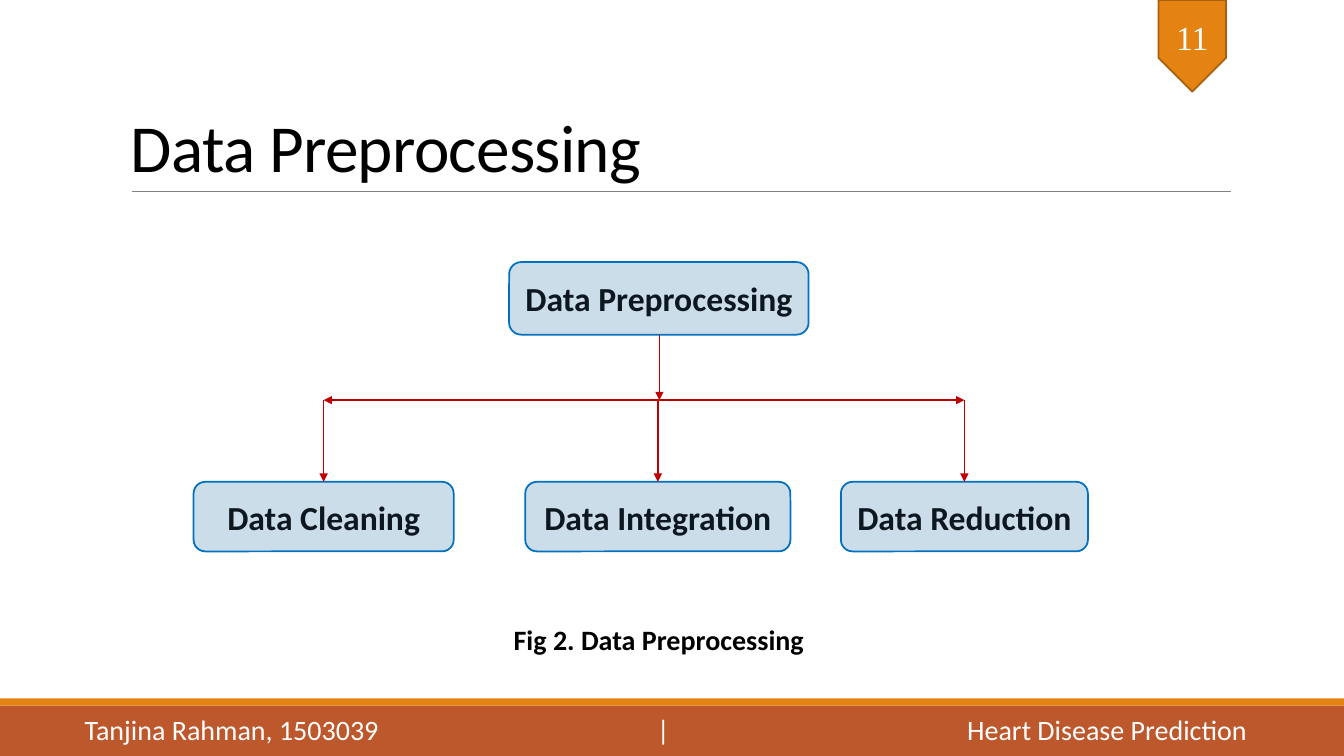
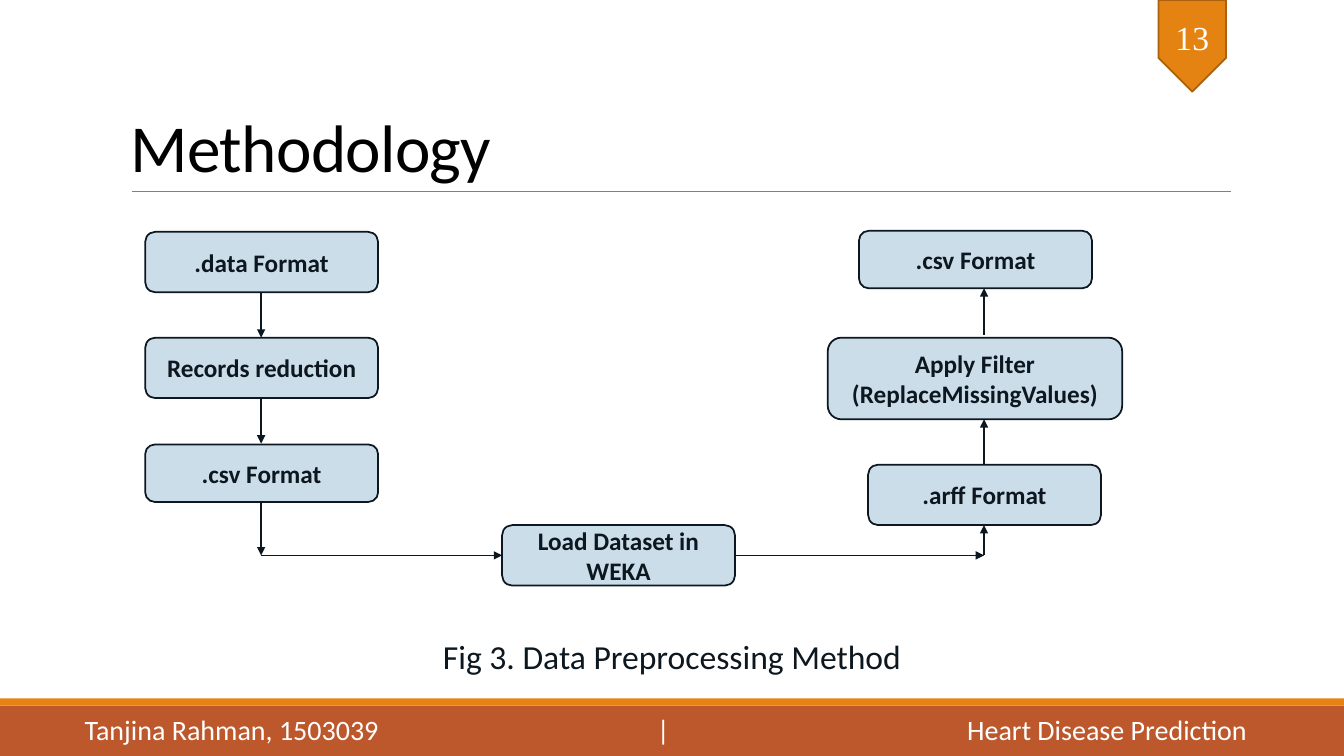
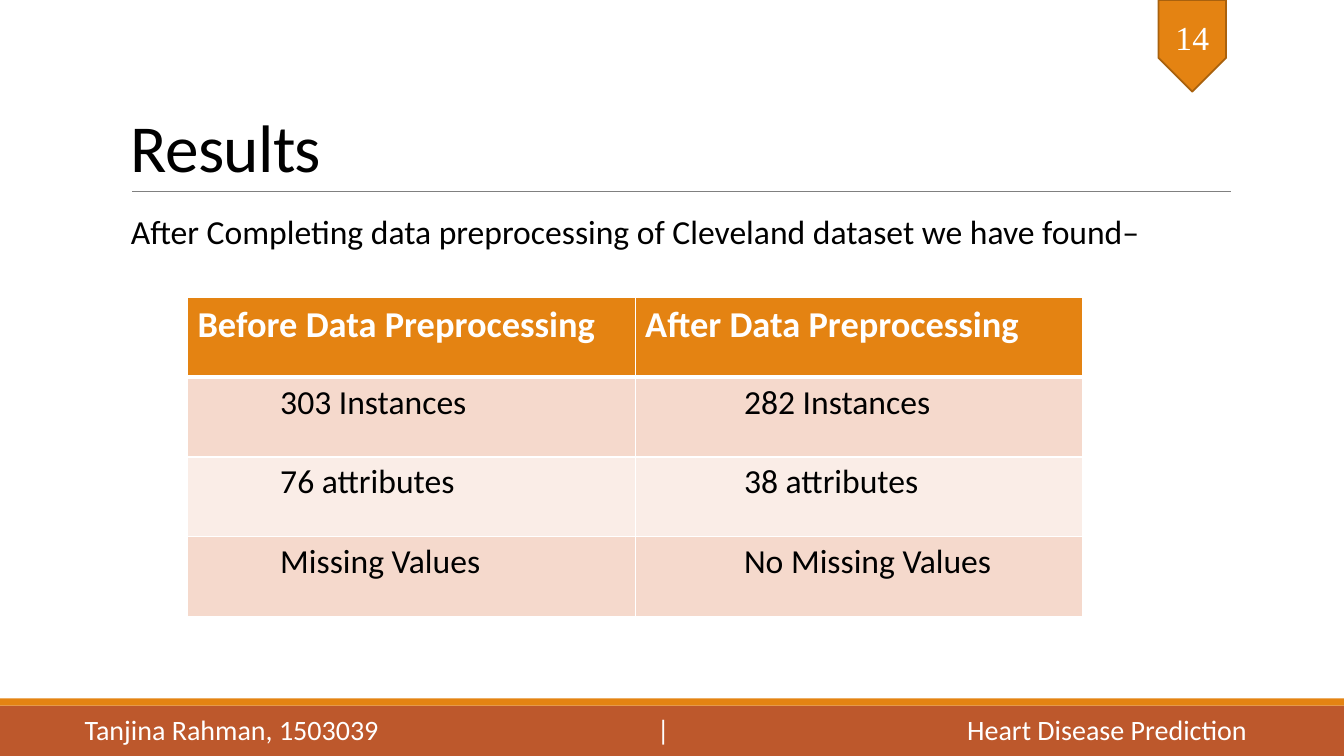
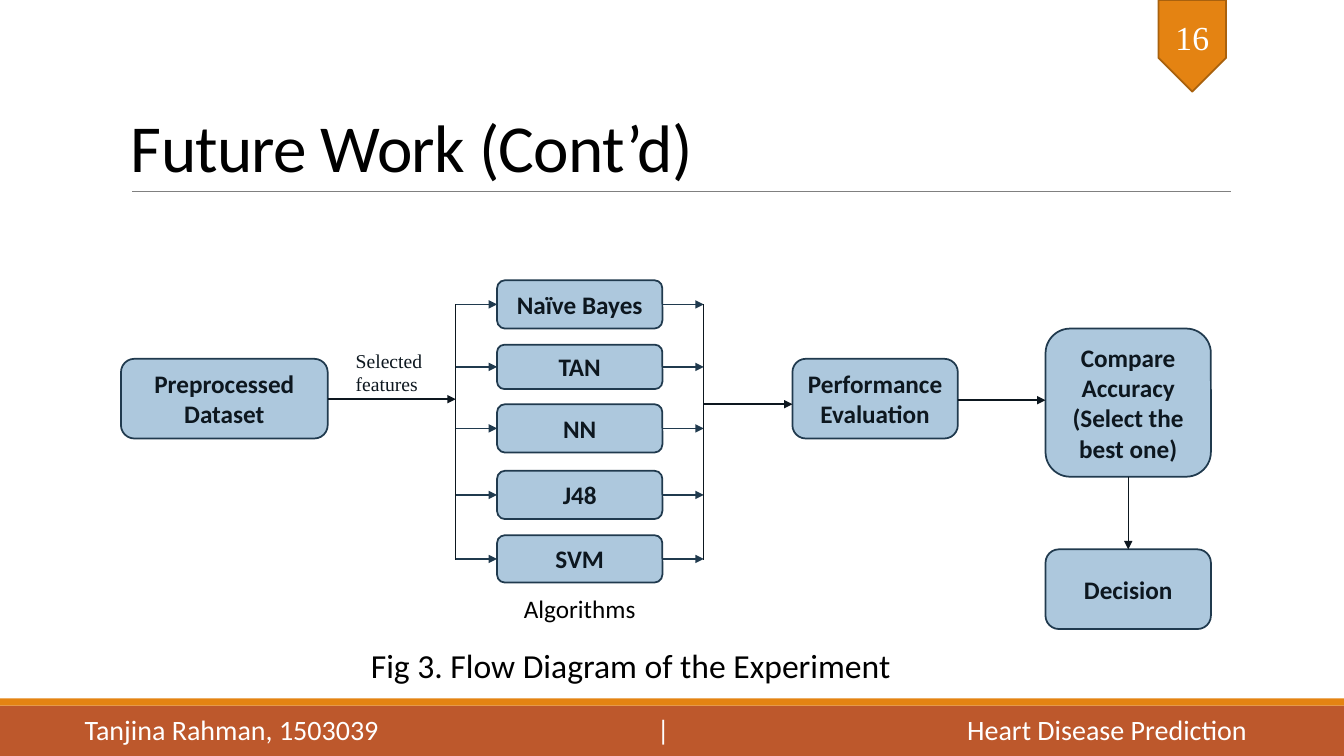
from lxml.etree import SubElement
from pptx import Presentation
from pptx.dml.color import RGBColor
from pptx.enum.shapes import MSO_CONNECTOR, MSO_SHAPE
from pptx.enum.text import MSO_ANCHOR, PP_ALIGN
from pptx.oxml.ns import qn
from pptx.util import Inches, Pt

COLORS = {
    "orange": "E48312", "badge_line": "A9610D", "rust": "BD582C",
    "rule": "808080", "white": "FFFFFF", "black": "000000",
    "ink": "0D171F", "pale_blue": "CCDDEA", "blue": "0070C0",
    "mid_blue": "ADC8DD", "navy": "203A4E", "red": "C00000",
    "band_dark": "F5D9CC", "band_light": "FAEDE7",
}
SANS, SERIF = "Calibri", "Times New Roman"
WIDTH, HEIGHT = 13.33, 7.5


def rgb(name):
    return RGBColor.from_string(COLORS[name])


def write(tf, text, size, color, bold=False, font=SANS, align=PP_ALIGN.LEFT,
          anchor=MSO_ANCHOR.TOP):
    tf.text = text
    tf.word_wrap = True
    tf.vertical_anchor = anchor
    for p in tf.paragraphs:
        p.alignment = align
        for r in p.runs:
            r.font.size, r.font.bold, r.font.name = Pt(size), bold, font
            r.font.color.rgb = rgb(color)


def add_text(slide, box, text, size, color="black", **style):
    sp = slide.shapes.add_textbox(*map(Inches, box))
    write(sp.text_frame, text, size, color, **style)
    return sp.text_frame


def add_box(slide, kind, box, fill, line=None):
    sp = slide.shapes.add_shape(kind, *map(Inches, box))
    sp.shadow.inherit = False
    sp.fill.solid()
    sp.fill.fore_color.rgb = rgb(fill)
    if line:
        sp.line.color.rgb = rgb(line)
        sp.line.width = Pt(1.25)
    else:
        sp.line.fill.background()
    return sp


def add_line(slide, x1, y1, x2, y2, color, width=1, arrow=True):
    c = slide.shapes.add_connector(MSO_CONNECTOR.STRAIGHT,
                                   *map(Inches, (x1, y1, x2, y2)))
    c.line.color.rgb = rgb(color)
    c.line.width = Pt(width)
    if arrow:
        SubElement(c.line._get_or_add_ln(), qn("a:tailEnd"), type="triangle")
    SubElement(c._element.spPr, qn("a:effectLst"))


class Diagram:
    """Draws nodes, lines and labels relative to a top left corner."""

    def __init__(self, slide, left, top, fill, outline, size):
        self.slide, self.left, self.top = slide, left, top
        self.fill, self.outline, self.size = fill, outline, size

    def node(self, text, x, y, w, h):
        sp = add_box(self.slide, MSO_SHAPE.ROUNDED_RECTANGLE,
                     (self.left + x, self.top + y, w, h),
                     self.fill, self.outline)
        write(sp.text_frame, text, self.size, "ink", bold=True,
              align=PP_ALIGN.CENTER, anchor=MSO_ANCHOR.MIDDLE)

    def line(self, x1, y1, x2, y2, color="ink", arrow=True):
        add_line(self.slide, self.left + x1, self.top + y1,
                 self.left + x2, self.top + y2, color, arrow=arrow)

    def label(self, text, x, y, w, h, size, **style):
        add_text(self.slide, (self.left + x, self.top + y, w, h),
                 text, size, **style)


def add_footer(slide, top):
    add_box(slide, MSO_SHAPE.RECTANGLE, (0, top, WIDTH, HEIGHT - top), "rust")
    add_box(slide, MSO_SHAPE.RECTANGLE, (0, top - 0.07, WIDTH, 0.07), "orange")
    tf = add_text(slide, (0.74, top + 0.02, 12, 0.44),
                  "Tanjina Rahman, 1503039\t|\tHeart Disease Prediction",
                  20, "white")
    tabs = SubElement(tf.paragraphs[0]._p.get_or_add_pPr(), qn("a:tabLst"))
    for pos, align in ((5.74, "ctr"), (11.53, "r")):
        SubElement(tabs, qn("a:tab"), pos=str(Inches(pos)), algn=align)


def add_badge(slide, number, left, top):
    """Page number on a pentagon turned to point down."""
    sp = add_box(slide, MSO_SHAPE.PENTAGON, (left, top, 0.91, 0.67),
                 "orange", "badge_line")
    sp.rotation = 90
    write(sp.text_frame, str(number), 24, "white", font=SERIF,
          align=PP_ALIGN.CENTER, anchor=MSO_ANCHOR.MIDDLE)
    sp.text_frame._txBody.bodyPr.set("vert", "vert270")


def new_slide(prs, title, number):
    slide = prs.slides.add_slide(prs.slide_layouts[6])
    add_footer(slide, 7)
    add_line(slide, 1.31, 1.9, 12.21, 1.9, "rule", 0.5, arrow=False)
    tf = add_text(slide, (1.2, 0.31, 11, 1.59), title, 48,
                  anchor=MSO_ANCHOR.BOTTOM)
    p = tf.paragraphs[0]
    p.line_spacing = 0.85
    p.runs[0].font._element.set("spc", "-50")
    add_badge(slide, number, 11.37, 0.12)
    return slide


def preprocessing_tree(slide, left, top):
    d = Diagram(slide, left, top, "pale_blue", "blue", 24)
    root_x, bus_y, child_y = 4.62, 1.37, 2.18
    d.node("Data Preprocessing", root_x - 1.49, 0, 2.97, 0.72)
    d.line(root_x, 0.72, root_x, bus_y, "red")
    for text, x, w in (("Data Cleaning", 0, 2.58),
                       ("Data Integration", 3.29, 2.63),
                       ("Data Reduction", 6.42, 2.45)):
        d.node(text, x, child_y, w, 0.69)
        center = x + w / 2
        if abs(center - root_x) > 0.1:
            d.line(root_x, bus_y, center, bus_y, "red")
        d.line(center, bus_y, center, child_y, "red")
    d.label("Fig 2. Data Preprocessing", 1.38, 3.5, 6.47, 0.48, 20, bold=True,
            align=PP_ALIGN.CENTER, anchor=MSO_ANCHOR.MIDDLE)


def format_flow(slide, left, top):
    d = Diagram(slide, left, top, "pale_blue", "ink", 18)
    w, down_x, up_x, turn_y = 2.31, 1.15, 8.32, 3.22
    for text, x, y, width, h in (
            (".data Format", 0, 0.01, w, 0.6),
            ("Records reduction", 0, 1.06, w, 0.6),
            (".csv Format", 0, 2.12, w, 0.57),
            ("Load Dataset in WEKA", 3.54, 2.92, w, 0.6),
            (".arff Format", 7.17, 2.32, w, 0.6),
            ("Apply Filter (ReplaceMissingValues)", 6.77, 1.06, 2.92, 0.81),
            (".csv Format", 7.08, 0, w, 0.57)):
        d.node(text, x, y, width, h)
    for y1, y2 in ((0.61, 1.06), (1.66, 2.11), (2.69, turn_y)):
        d.line(down_x, y1, down_x, y2)
    d.line(down_x, turn_y, 3.54, turn_y)
    d.line(3.54 + w, turn_y, up_x, turn_y)
    for y1, y2 in ((turn_y, 2.92), (2.32, 1.87), (1.03, 0.57)):
        d.line(up_x, y1, up_x, y2)
    d.label("Fig 3. Data Preprocessing Method", 2.05, 3.94, 6.35, 0.55, 24,
            color="ink", align=PP_ALIGN.CENTER, anchor=MSO_ANCHOR.MIDDLE)


def set_borders(cell, bottom):
    tc_pr = cell._tc.get_or_add_tcPr()
    for side, width in (("L", 1), ("R", 1), ("T", 1), ("B", bottom)):
        ln = SubElement(tc_pr, qn("a:ln" + side), w=str(Pt(width)))
        fill = SubElement(ln, qn("a:solidFill"))
        SubElement(fill, qn("a:srgbClr"), val=COLORS["white"])


def comparison_table(slide, left, top, width, height):
    rows = (("Before Data Preprocessing", "After Data Preprocessing"),
            ("303 Instances", "282 Instances"),
            ("76 attributes", "38 attributes"),
            ("Missing Values", "No Missing Values"))
    indents = (0.92, 1.08)
    table = slide.shapes.add_table(
        len(rows), 2, *map(Inches, (left, top, width, height))).table
    for i, row in enumerate(rows):
        head = i == 0
        band = "orange" if head else "band_dark" if i % 2 else "band_light"
        for j, text in enumerate(row):
            cell = table.cell(i, j)
            set_borders(cell, 3 if head else 1)
            cell.fill.solid()
            cell.fill.fore_color.rgb = rgb(band)
            write(cell.text_frame, text, 26 if head else 24,
                  "white" if head else "black", bold=head)
            if not head:
                cell.margin_left = Inches(indents[j])


def experiment_flow(slide, left, top):
    d = Diagram(slide, left, top, "mid_blue", "navy", 18)
    algo_x, w, rail_in, rail_out = 3.73, 1.64, 3.32, 5.78
    for text, y, h in (("Naïve Bayes", 0, 0.48), ("TAN", 0.64, 0.44),
                       ("NN", 1.23, 0.48), ("J48", 1.89, 0.48),
                       ("SVM", 2.53, 0.47)):
        d.node(text, algo_x, y, w, h)
        middle = y + h / 2
        d.line(rail_in, middle, algo_x, middle, "navy")
        d.line(algo_x + w, middle, rail_out, middle, "navy")
    for x in (rail_in, rail_out):
        d.line(x, 0.24, x, 2.78, arrow=False)
    d.node("Preprocessed Dataset", 0, 0.78, 2.05, 0.79)
    d.node("Performance Evaluation", 6.66, 0.78, w, 0.79)
    d.node("Compare\nAccuracy (Select the best one)", 9.17, 0.48, w, 1.47)
    d.node("Decision", 9.17, 2.67, w, 0.79)
    d.line(2.05, 1.18, rail_in, 1.18)
    d.line(rail_out, 1.23, 6.66, 1.23)
    d.line(6.66 + w, 1.19, 9.17, 1.19)
    d.line(9.99, 1.95, 9.99, 2.67)
    d.label("Selected\nfeatures", 2.23, 0.63, 1.6, 0.57, 14, color="ink",
            font=SERIF)
    d.label("Algorithms", 3.12, 3.02, 2.86, 0.47, 18,
            align=PP_ALIGN.CENTER, anchor=MSO_ANCHOR.MIDDLE)
    d.label("Fig 3. Flow Diagram of the Experiment", 2.38, 3.57, 7.2, 0.5, 24)


def main():
    prs = Presentation()
    prs.slide_width, prs.slide_height = Inches(WIDTH), Inches(HEIGHT)

    preprocessing_tree(new_slide(prs, "Data Preprocessing", 11), 1.92, 2.6)
    format_flow(new_slide(prs, "Methodology", 13), 1.44, 2.29)

    results = new_slide(prs, "Results", 14)
    tf = add_text(results, (1.2, 2.09, 11, 0.6),
                  "After Completing data preprocessing of Cleveland dataset "
                  "we have found–", 24)
    tf.paragraphs[0].line_spacing = 0.9
    comparison_table(results, 1.86, 2.95, 8.88, 3.17)

    experiment_flow(new_slide(prs, "Future Work (Cont’d)", 16), 1.2, 2.78)
    prs.save("out.pptx")


if __name__ == "__main__":
    main()
